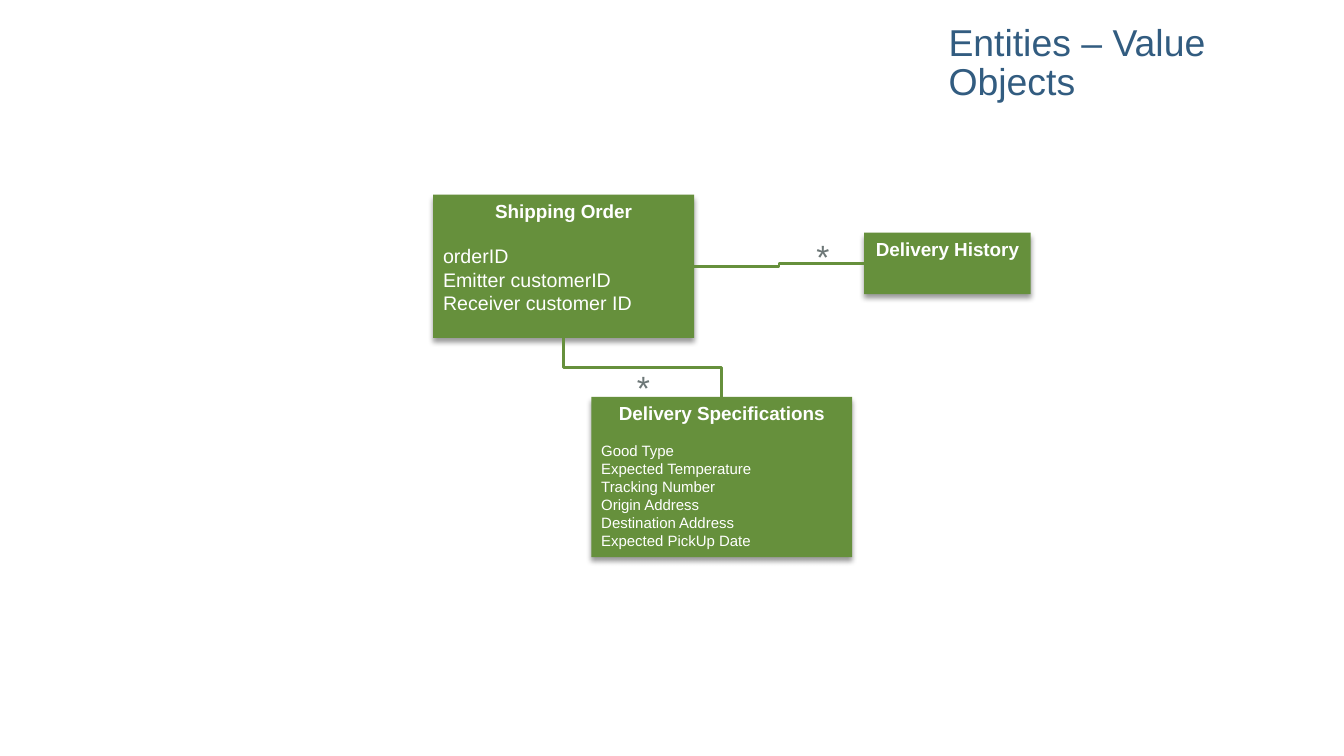
import dataclasses

import lxml.etree
import pptx
import pptx.dml.color
import pptx.enum.shapes
import pptx.enum.text
import pptx.oxml.ns
import pptx.util

Pt = pptx.util.Pt
ALIGN = pptx.enum.text.PP_ALIGN
ANCHOR = pptx.enum.text.MSO_ANCHOR
AUTO_SIZE = pptx.enum.text.MSO_AUTO_SIZE
qn = pptx.oxml.ns.qn
TOP, LEFT, BOTTOM, RIGHT = range(4)


@dataclasses.dataclass(frozen=True)
class Theme:
    font: str = "Arial"
    title_color: str = "325C80"
    entity_color: str = "66903C"
    entity_text: str = "FFFFFF"
    mark_color: str = "6D7777"
    shadow_color: str = "000000"
    title_size: float = 26.7
    heading_size: float = 13.5
    large_size: float = 14
    small_size: float = 10.7
    mark_size: float = 24
    line_width: float = 2


class EntityDiagram:
    def __init__(self, presentation, theme):
        self.theme = theme
        self.slide = presentation.slides.add_slide(presentation.slide_layouts[5])

    def color(self, value):
        return pptx.dml.color.RGBColor.from_string(value)

    def format_runs(self, paragraph, size, color, bold=False):
        for run in paragraph.runs:
            run.font.name = self.theme.font
            run.font.size = Pt(size)
            run.font.bold = bold
            run.font.color.rgb = self.color(color)

    def title(self, text, left, top, width, height):
        shape = self.slide.shapes.title
        shape.left, shape.top = Pt(left), Pt(top)
        shape.width, shape.height = Pt(width), Pt(height)
        frame = shape.text_frame
        frame.text = text
        frame.word_wrap = True
        frame.auto_size = AUTO_SIZE.NONE
        frame.vertical_anchor = ANCHOR.BOTTOM
        frame.margin_left = frame.margin_bottom = 0
        frame.margin_top, frame.margin_right = Pt(3.6), Pt(7.2)
        paragraph = frame.paragraphs[0]
        paragraph.alignment = ALIGN.LEFT
        paragraph.line_spacing = 0.85
        self.format_runs(paragraph, self.theme.title_size, self.theme.title_color)

    def add_shadow(self, shape):
        shape.shadow.inherit = False
        effects = shape.element.spPr.find(qn("a:effectLst"))
        shadow = lxml.etree.SubElement(
            effects, qn("a:outerShdw"), blurRad=str(Pt(4)), dist=str(Pt(3)),
            dir="5400000", rotWithShape="0")
        color = lxml.etree.SubElement(
            shadow, qn("a:srgbClr"), val=self.theme.shadow_color)
        lxml.etree.SubElement(color, qn("a:alpha"), val="40000")

    def entity(self, name, left, top, width, height, fields=(), size=0, gap=0):
        shape = self.slide.shapes.add_shape(
            pptx.enum.shapes.MSO_SHAPE.RECTANGLE,
            Pt(left), Pt(top), Pt(width), Pt(height))
        shape.fill.solid()
        shape.fill.fore_color.rgb = self.color(self.theme.entity_color)
        shape.line.fill.background()
        self.add_shadow(shape)
        frame = shape.text_frame
        frame.word_wrap = True
        frame.vertical_anchor = ANCHOR.TOP
        frame.text = "\n".join([name, *fields])
        heading, *rows = frame.paragraphs
        heading.alignment = ALIGN.CENTER
        heading.space_after = Pt(gap)
        self.format_runs(heading, self.theme.heading_size,
                         self.theme.entity_text, bold=True)
        for paragraph in rows:
            paragraph.alignment = ALIGN.LEFT
            self.format_runs(paragraph, size, self.theme.entity_text)
        return shape

    def relation(self, begin, begin_side, end, end_side):
        connector = self.slide.shapes.add_connector(
            pptx.enum.shapes.MSO_CONNECTOR.ELBOW, 0, 0, 0, 0)
        connector.begin_connect(begin, begin_side)
        connector.end_connect(end, end_side)
        connector.line.color.rgb = self.color(self.theme.entity_color)
        connector.line.width = Pt(self.theme.line_width)
        lxml.etree.SubElement(connector.element.spPr, qn("a:effectLst"))
        if begin_side == TOP:
            self.turn_upright(connector)

    def turn_upright(self, connector):
        width, height = connector.width, connector.height
        connector.left += (width - height) // 2
        connector.top += (height - width) // 2
        connector.width, connector.height = height, width
        transform = connector.element.spPr.find(qn("a:xfrm"))
        transform.set("rot", "16200000")
        transform.set("flipH", "0")
        transform.set("flipV", "1")

    def multiplicity(self, left, top):
        box = self.slide.shapes.add_textbox(Pt(left), Pt(top), Pt(23.8), Pt(36))
        frame = box.text_frame
        frame.word_wrap = False
        frame.auto_size = AUTO_SIZE.SHAPE_TO_FIT_TEXT
        frame.text = "*"
        self.format_runs(frame.paragraphs[0], self.theme.mark_size,
                         self.theme.mark_color)


def main():
    presentation = pptx.Presentation()
    presentation.slide_width, presentation.slide_height = Pt(960), Pt(540)
    theme = Theme()
    diagram = EntityDiagram(presentation, theme)
    diagram.title("Entities – Value Objects", 677.5, 4.3, 283, 69.1)
    order = diagram.entity(
        "Shipping Order", 309.4, 139, 186.4, 102.4,
        ["orderID", "Emitter customerID", "Receiver customer ID"],
        theme.large_size, 15.5)
    diagram.multiplicity(447.8, 258.5)
    specifications = diagram.entity(
        "Delivery Specifications", 422.4, 283.5, 186.4, 114.5,
        ["Good Type", "Expected Temperature", "Tracking Number",
         "Origin Address", "Destination Address", "Expected PickUp Date"],
        theme.small_size, 12.3)
    diagram.relation(specifications, TOP, order, BOTTOM)
    history = diagram.entity("Delivery History", 617.3, 166.2, 119, 44)
    diagram.relation(history, LEFT, order, RIGHT)
    diagram.multiplicity(576, 164.9)
    presentation.save("out.pptx")


if __name__ == "__main__":
    main()
